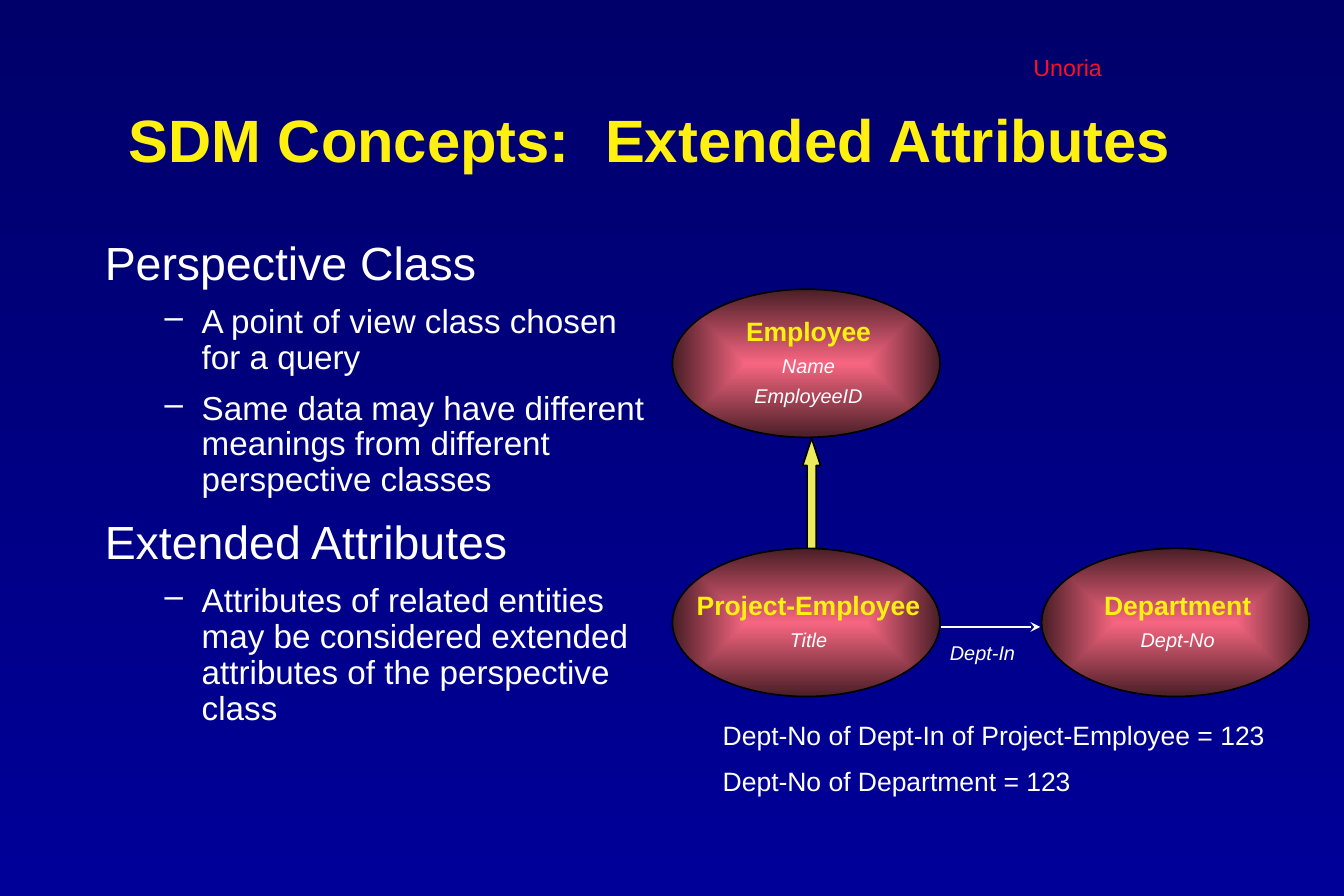
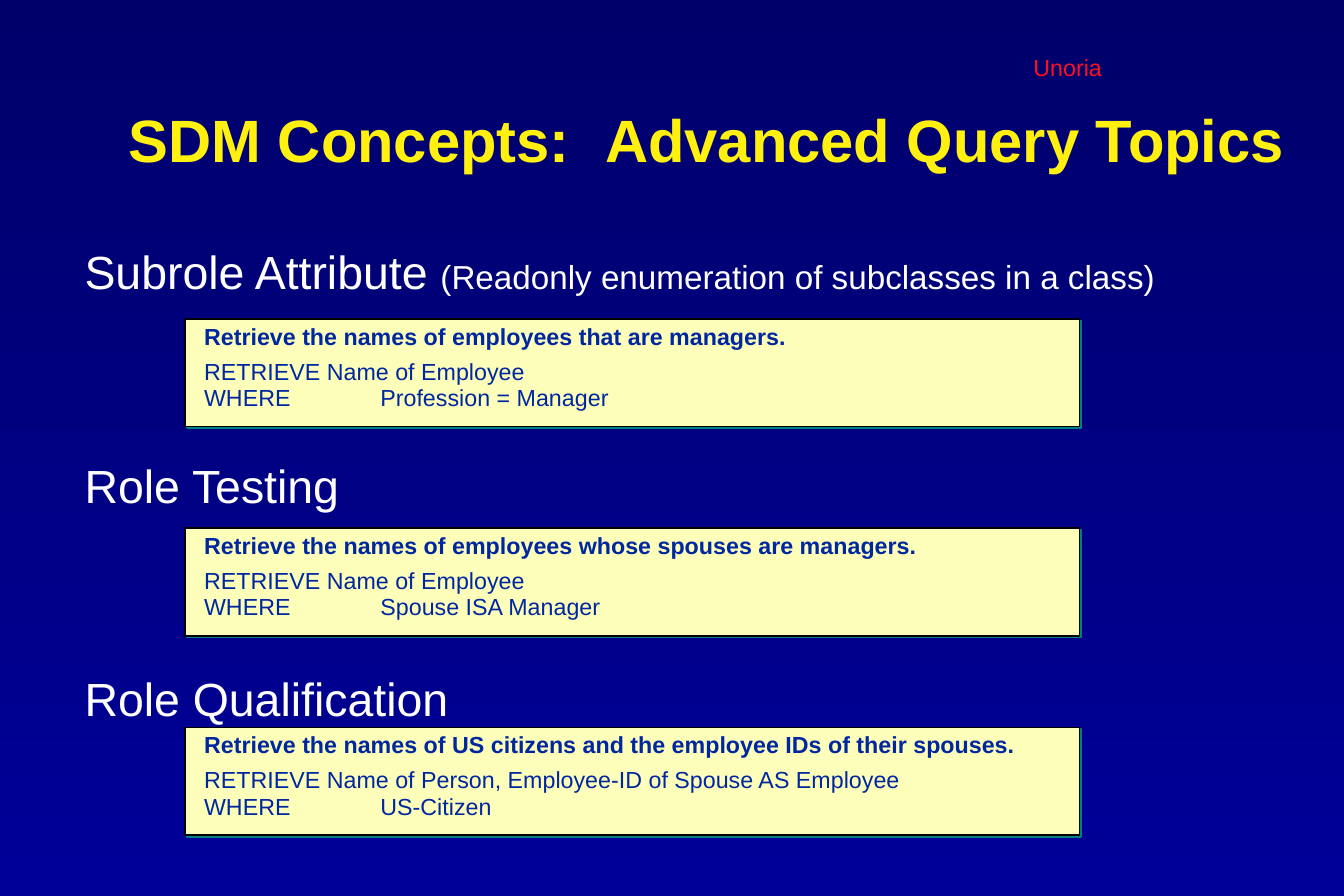
from lxml.etree import SubElement
from pptx import Presentation
from pptx.dml.color import RGBColor
from pptx.enum.shapes import MSO_CONNECTOR, MSO_SHAPE
from pptx.enum.text import MSO_ANCHOR, PP_ALIGN
from pptx.oxml.ns import qn
from pptx.util import Cm, Pt

COLORS = {
    "night": "00006A", "navy": "000099", "yellow": "FFF010", "white": "FFFFFF",
    "red": "FF1020", "black": "000000", "rose": "F76681", "maroon": "491E26",
    "arrow": "EAEC5E", "cream": "FCFEB9", "ink": "00279F", "teal": "008080",
}
RGB = {name: RGBColor.from_string(value) for name, value in COLORS.items()}

STYLES = {
    "brand": {"size": 14, "color": "red"},
    "title": {"size": 36, "color": "yellow", "bold": True, "tab": 10.13},
    "heading": {"size": 28, "color": "white", "before": 12.2},
    "spread heading": {"size": 28, "color": "white", "before": 98.4},
    "point": {"size": 20, "color": "white", "before": 8.8, "bullet": "–"},
    "class": {"size": 16, "color": "yellow", "bold": True},
    "attribute": {"size": 12, "color": "white", "italic": True, "before": 5.2},
    "example": {"size": 16, "color": "white", "before": 10},
    "question": {"size": 14, "color": "ink", "bold": True},
    "query": {"size": 14, "color": "ink", "before": 6.1},
    "condition": {"size": 14, "color": "ink", "before": 6.1, "spacing": 0.5, "tab": 3.75},
}


def add_xml(parent, tag, **attributes):
    return SubElement(parent, qn(tag), attributes)


def write(shape, lines, left=0.25, right=0.25, align=PP_ALIGN.LEFT, anchor=MSO_ANCHOR.TOP, wrap=True):
    frame = shape.text_frame
    frame.word_wrap = wrap
    frame.vertical_anchor = anchor
    frame.margin_left, frame.margin_right = Cm(left), Cm(right)
    frame.margin_top = frame.margin_bottom = Cm(0.13)
    for number, (style_name, text) in enumerate(lines):
        style = STYLES[style_name]
        para = frame.add_paragraph() if number else frame.paragraphs[0]
        para.text = text
        para.alignment = align
        para.line_spacing = style.get("spacing", 0.9)
        para.space_before = Pt(style.get("before", 0) if number else 0)
        properties = para._p.get_or_add_pPr()
        if "bullet" in style:
            properties.set("marL", str(Cm(2.06)))
            properties.set("indent", str(Cm(-0.79)))
            add_xml(properties, "a:buChar", char=style["bullet"])
        if "tab" in style:
            tabs = add_xml(properties, "a:tabLst")
            add_xml(tabs, "a:tab", pos=str(Cm(style["tab"])), algn="l")
        para.font.name = "Arial"
        para.font.size = Pt(style["size"])
        para.font.bold = style.get("bold", False)
        para.font.italic = style.get("italic", False)
        para.font.color.rgb = RGB[style["color"]]


deck = Presentation()
deck.slide_width, deck.slide_height = Cm(28.58), Cm(19.05)
background = deck.slide_master.background.fill
background.gradient()
background.gradient_angle = 270
for stop, name in zip(background.gradient_stops, ("night", "navy")):
    stop.color.rgb = RGB[name]

pages = []
for topic in ("Extended Attributes", "Advanced Query Topics"):
    page = deck.slides.add_slide(deck.slide_layouts[6])
    brand = page.shapes.add_textbox(Cm(20.9), Cm(1.07), Cm(3.61), Cm(0.79))
    write(brand, [("brand", "Unoria")], align=PP_ALIGN.CENTER)
    title = page.shapes.add_textbox(Cm(2.74), Cm(1.9), Cm(24.84), Cm(2.29))
    write(title, [("title", f"SDM Concepts:\t{topic}")], left=0, right=0, anchor=MSO_ANCHOR.MIDDLE)
    pages.append(page)
attributes_page, queries_page = pages

body = attributes_page.shapes.add_textbox(Cm(1.8), Cm(4.98), Cm(12.27), Cm(10.9))
write(body, [
    ("heading", "Perspective Class"),
    ("point", "A point of view class chosen for a query"),
    ("point", "Same data may have different meanings from different perspective classes"),
    ("heading", "Extended Attributes"),
    ("point", "Attributes of related entities may be considered extended attributes of the perspective class"),
], left=0.43)

subclass_arrow = attributes_page.shapes.add_shape(
    MSO_SHAPE.UP_ARROW, Cm(17.07), Cm(9.32), Cm(0.38), Cm(2.51))
subclass_arrow.adjustments[0] = 0.5
subclass_arrow.adjustments[1] = 1.524
subclass_arrow.shadow.inherit = False
subclass_arrow.fill.solid()
subclass_arrow.fill.fore_color.rgb = RGB["arrow"]
subclass_arrow.line.color.rgb = RGB["black"]
subclass_arrow.line.width = Pt(1)

CLASSES = [
    (14.3, 6.15, "Employee", ["Name", "EmployeeID"]),
    (14.3, 11.66, "Project-Employee", ["Title"]),
    (22.15, 11.66, "Department", ["Dept-No"]),
]
for left, top, class_name, attributes in CLASSES:
    oval = attributes_page.shapes.add_shape(MSO_SHAPE.OVAL, Cm(left), Cm(top), Cm(5.69), Cm(3.15))
    oval.shadow.inherit = False
    oval.line.color.rgb = RGB["black"]
    oval.line.width = Pt(1)
    oval.fill.gradient()
    for stop, name in zip(oval.fill.gradient_stops, ("rose", "maroon")):
        stop.color.rgb = RGB[name]
    gradient = oval.element.spPr.find(qn("a:gradFill"))
    gradient.remove(gradient.find(qn("a:lin")))
    center = add_xml(gradient, "a:path", path="rect")
    add_xml(center, "a:fillToRect", l="50000", t="50000", r="50000", b="50000")
    write(oval, [("class", class_name)] + [("attribute", text) for text in attributes],
          left=0.35, align=PP_ALIGN.CENTER, anchor=MSO_ANCHOR.MIDDLE, wrap=False)

relation = attributes_page.shapes.add_connector(
    MSO_CONNECTOR.STRAIGHT, Cm(20), Cm(13.33), Cm(22.12), Cm(13.33))
relation.line.color.rgb = RGB["white"]
relation.line.width = Pt(1)
add_xml(relation.line._get_or_add_ln(), "a:tailEnd", type="stealth")
add_xml(relation.element.spPr, "a:effectLst")

relation_label = attributes_page.shapes.add_textbox(Cm(19.84), Cm(13.54), Cm(2.11), Cm(0.71))
write(relation_label, [("attribute", "Dept-In")], align=PP_ALIGN.CENTER)
examples = attributes_page.shapes.add_textbox(Cm(14.94), Cm(15.24), Cm(12.9), Cm(1.83))
write(examples, [
    ("example", "Dept-No of Dept-In of Project-Employee = 123"),
    ("example", "Dept-No of Department = 123"),
], left=0.43)

headings = queries_page.shapes.add_textbox(Cm(1.37), Cm(5.18), Cm(26.24), Cm(11.73))
write(headings, [("spread heading", text) for text in
                 ("Subrole Attribute ", "Role Testing", "Role Qualification")], left=0.43)
remark = headings.text_frame.paragraphs[0].add_run()
remark.text = "(Readonly enumeration of subclasses in a class)"
remark.font.size = Pt(20)

QUERIES = [
    (6.78, "Retrieve the names of employees that are managers.",
     "Name of Employee", "Profession = Manager"),
    (11.23, "Retrieve the names of employees whose spouses are managers.",
     "Name of Employee", "Spouse ISA Manager"),
    (15.47, "Retrieve the names of US citizens and the employee IDs of their spouses.",
     "Name of Person, Employee-ID of Spouse AS Employee", "US-Citizen"),
]
for top, question, target, condition in QUERIES:
    card = queries_page.shapes.add_shape(MSO_SHAPE.RECTANGLE, Cm(3.94), Cm(top), Cm(19.02), Cm(2.29))
    card.fill.solid()
    card.fill.fore_color.rgb = RGB["cream"]
    card.line.color.rgb = RGB["black"]
    card.line.width = Pt(1)
    card.shadow.inherit = False
    effects = card.element.spPr.find(qn("a:effectLst"))
    shadow = add_xml(effects, "a:outerShdw", dist=str(Pt(1.4)), dir="2700000", algn="ctr", rotWithShape="0")
    add_xml(shadow, "a:srgbClr", val=COLORS["teal"])
    write(card, [
        ("question", question),
        ("query", f"RETRIEVE {target}"),
        ("condition", f"WHERE\t{condition}"),
    ], left=0.4, wrap=False)

deck.save("out.pptx")
